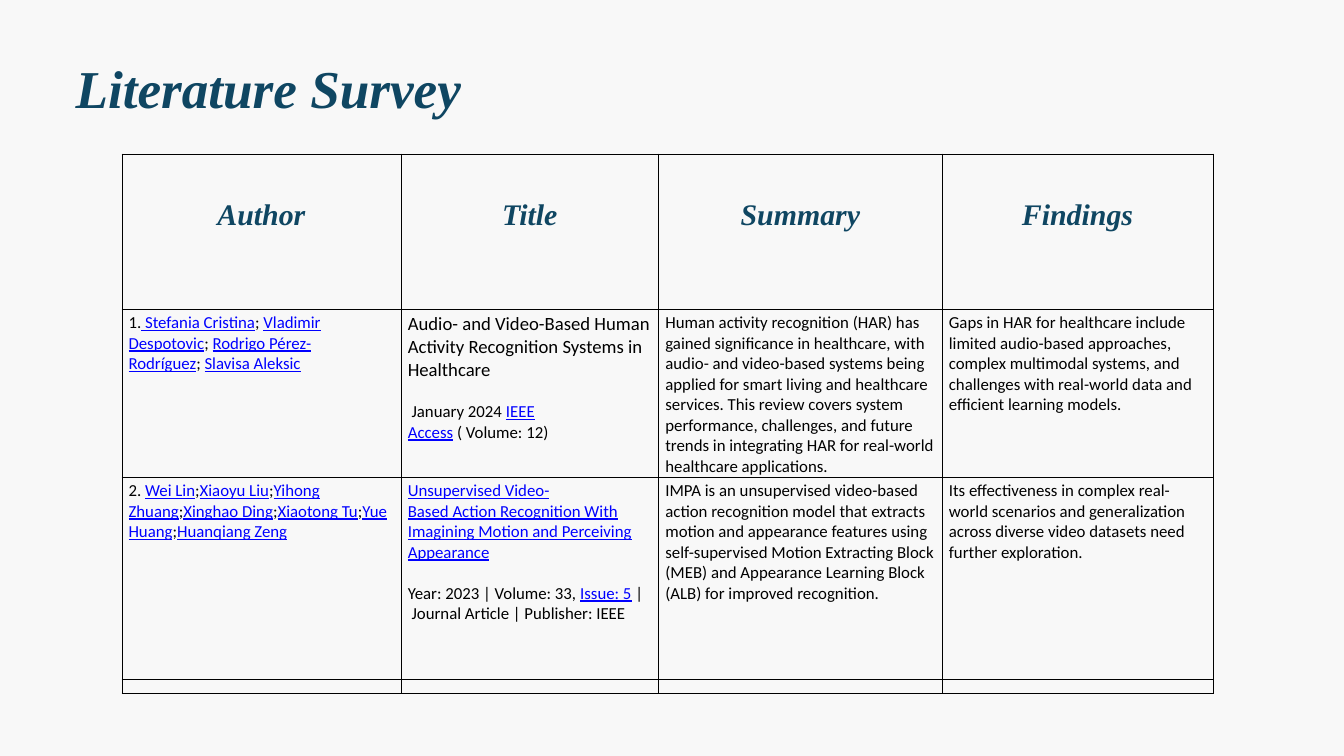
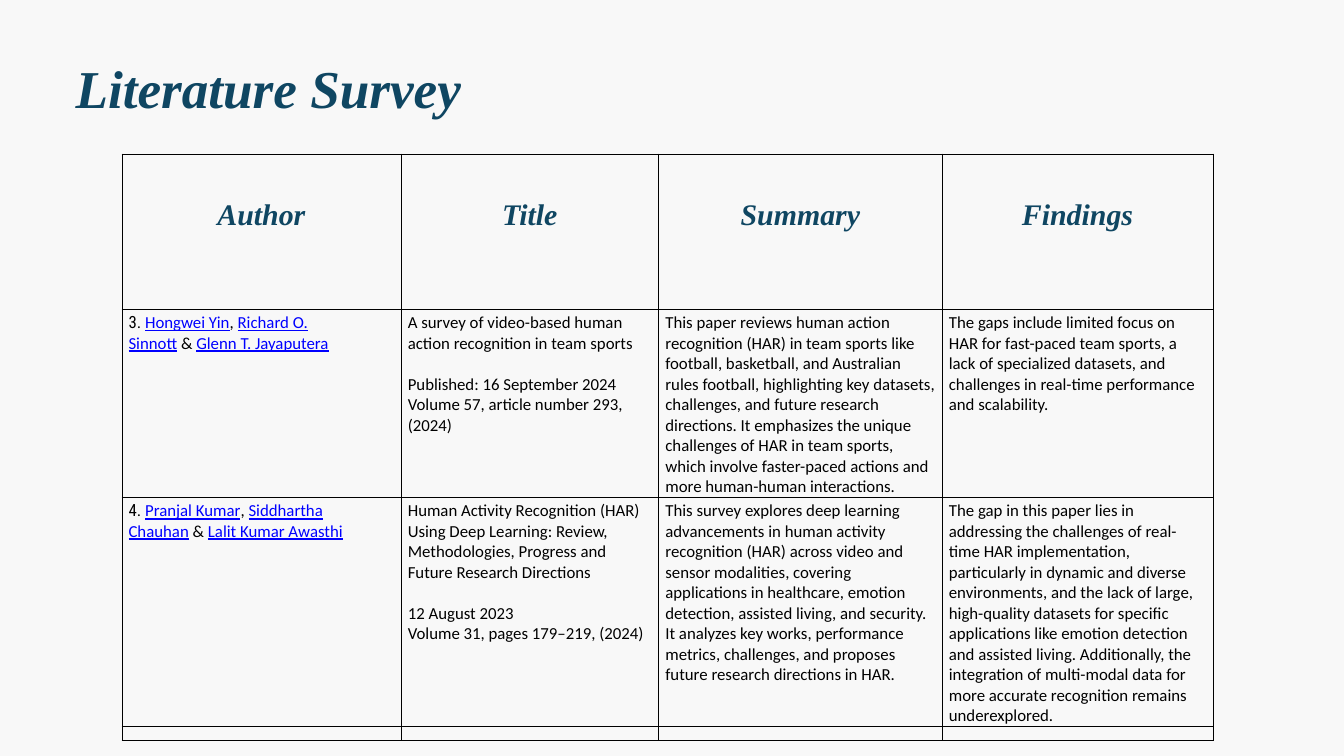
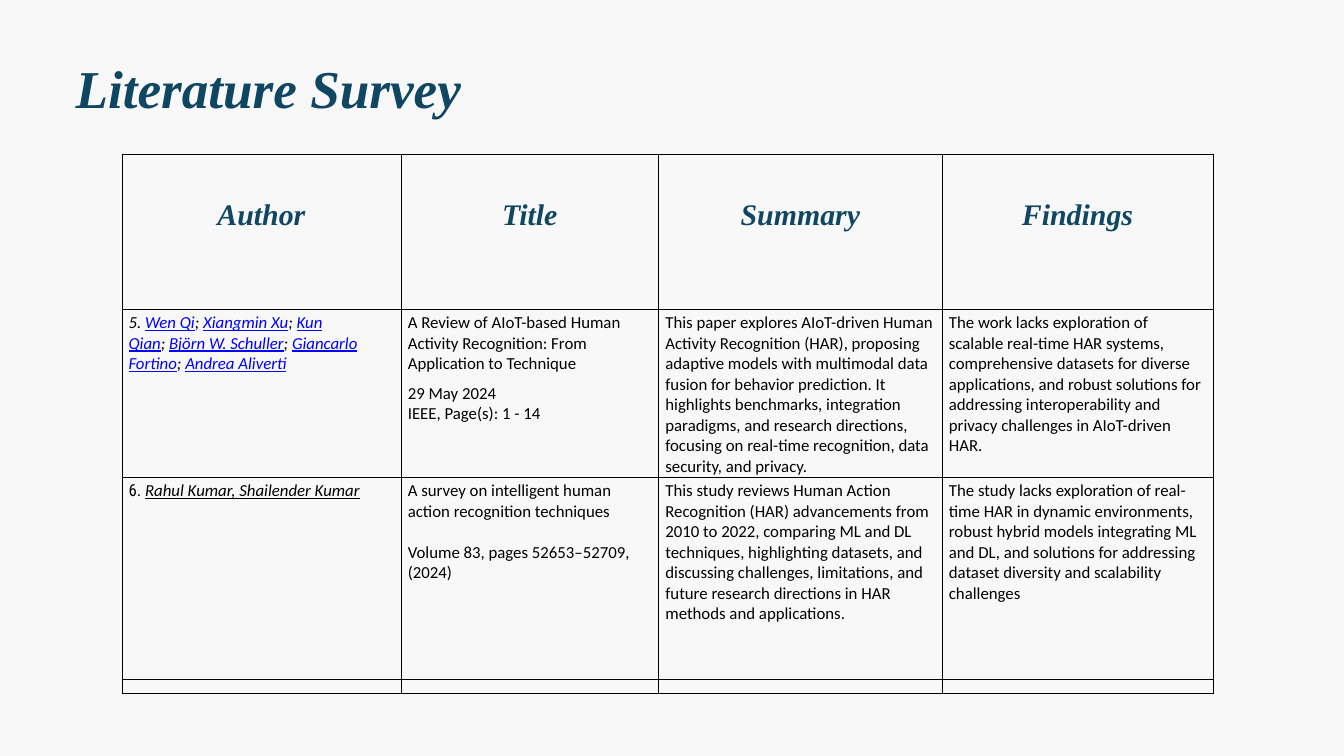
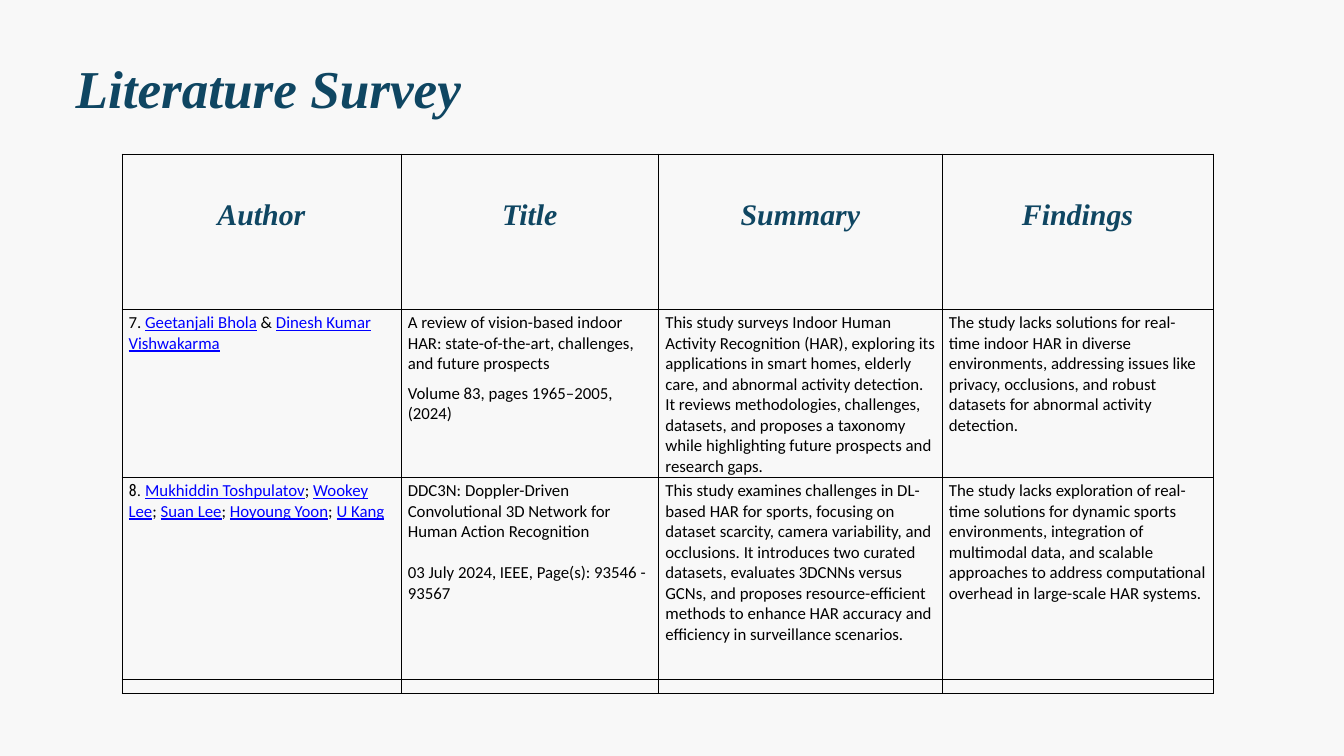
import dataclasses

import lxml.etree
import pptx
import pptx.dml.color
import pptx.enum.text
import pptx.oxml.ns
import pptx.util


# Theme: colours, fonts and type sizes
@dataclasses.dataclass(frozen=True)
class Theme:
    paper: str = "F8F8F8"
    navy: str = "0F4662"
    black: str = "000000"
    link: str = "0000FF"
    serif: str = "Times New Roman"
    sans: str = "Calibri"
    narrow: str = "Roboto Condensed"
    title: int = 57
    head: int = 32
    body: int = 18
    large: int = 20
    tiny: int = 7
    lead: float = 79.8
    rule: float = 0.75


THEME = Theme()
HEADS = ("Author", "Title", "Summary", "Findings")
COLS = (399, 368, 405, 387)
ROWS = (222, 240, 288, 21)
WIDE, NARROW = 22, 9.8  # points between a paper's name and its issue
HARD = chr(160)  # space that does not break, typed as ~ below


# One surveyed paper; square brackets mark linked words
@dataclasses.dataclass
class Paper:
    num: str
    who: str
    name: str
    issue: tuple
    summary: str
    gaps: str
    face: str = THEME.sans
    slant: bool = False
    tint: str = THEME.link
    size: int = THEME.body
    space: float = WIDE


PAGES = (
    (
        Paper(
            "1.",
            "[ Stefania Cristina];~[Vladimir Despotovic];~[Rodrigo Pérez-Rodríguez];~[Slavisa Aleksic]",
            "Audio- and Video-Based Human Activity Recognition Systems in Healthcare",
            ("~January 2024 [IEEE Access]~(~Volume: 12)",),
            "Human activity recognition (HAR) has gained significance in healthcare, with "
            "audio- and video-based systems being applied for smart living and healthcare "
            "services. This review covers system performance, challenges, and future trends "
            "in integrating HAR for real-world healthcare applications.",
            "Gaps in HAR for healthcare include limited audio-based approaches, complex "
            "multimodal systems, and challenges with real-world data and efficient learning models.",
            size=THEME.large,
        ),
        Paper(
            "2. ",
            "[Wei Lin];[Xiaoyu Liu];[Yihong Zhuang];[Xinghao Ding];[Xiaotong Tu];[Yue Huang];[Huanqiang Zeng]",
            "[Unsupervised~Video-Based~Action~Recognition~With Imagining Motion and Perceiving Appearance]",
            ("Year: 2023~|~Volume: 33,~[Issue:~5]~|~Journal Article~|~Publisher:~IEEE",),
            "IMPA is an unsupervised video-based action recognition model that extracts motion "
            "and appearance features using self-supervised Motion Extracting Block (MEB) and "
            "Appearance Learning Block (ALB) for improved recognition.",
            "Its effectiveness in complex real-world scenarios and generalization across "
            "diverse video datasets need further exploration.",
        ),
    ),
    (
        Paper(
            "3. ",
            "[Hongwei Yin],~[Richard O. Sinnott]~&~[Glenn T. Jayaputera]",
            "A survey of video-based human action recognition in team sports",
            ("Published:~16 September 2024", "Volume~57, article~number~293, (2024)"),
            "This paper reviews human action recognition (HAR) in team sports like football, "
            "basketball, and Australian rules football, highlighting key datasets, challenges, "
            "and future research directions. It emphasizes the unique challenges of HAR in team "
            "sports, which involve faster-paced actions and more human-human interactions.",
            "The gaps include limited focus on HAR for fast-paced team sports, a lack of "
            "specialized datasets, and challenges in real-time performance and scalability.",
            face=THEME.narrow,
        ),
        Paper(
            "4. ",
            "[Pranjal Kumar],~[Siddhartha Chauhan]~&~[Lalit Kumar Awasthi]",
            "Human Activity Recognition (HAR) Using Deep Learning: Review, Methodologies, "
            "Progress and Future Research Directions",
            ("12 August 2023", "Volume~31,~pages 179–219, (2024)"),
            "This survey explores deep learning advancements in human activity recognition (HAR) "
            "across video and sensor modalities, covering applications in healthcare, emotion "
            "detection, assisted living, and security. It analyzes key works, performance "
            "metrics, challenges, and proposes future research directions in HAR.",
            "The gap in this paper lies in addressing the challenges of real-time HAR "
            "implementation, particularly in dynamic and diverse environments, and the lack of "
            "large, high-quality datasets for specific applications like emotion detection and "
            "assisted living. Additionally, the integration of multi-modal data for more "
            "accurate recognition remains underexplored.",
            face=THEME.narrow,
        ),
    ),
    (
        Paper(
            "5. ",
            "[Wen Qi];~[Xiangmin Xu];~[Kun Qian];~[Björn W. Schuller];~[Giancarlo Fortino];~[Andrea Aliverti]",
            "A Review of AIoT-based Human Activity Recognition: From Application to Technique",
            ("29 May 2024", "IEEE, Page(s):~1~- 14"),
            "This paper explores AIoT-driven Human Activity Recognition (HAR), proposing adaptive "
            "models with multimodal data fusion for behavior prediction. It highlights benchmarks, "
            "integration paradigms, and research directions, focusing on real-time recognition, "
            "data security, and privacy.",
            "The work lacks exploration of scalable real-time HAR systems, comprehensive datasets "
            "for diverse applications, and robust solutions for addressing interoperability and "
            "privacy challenges in AIoT-driven HAR.",
            slant=True,
            space=NARROW,
        ),
        Paper(
            "6. ",
            "[Rahul Kumar,~Shailender Kumar]",
            "A survey on intelligent human action recognition techniques",
            ("Volume~83,~pages 52653–52709, (2024)",),
            "This study reviews Human Action Recognition (HAR) advancements from 2010 to 2022, "
            "comparing ML and DL techniques, highlighting datasets, and discussing challenges, "
            "limitations, and future research directions in HAR methods and applications.",
            "The study lacks exploration of real-time HAR in dynamic environments, robust hybrid "
            "models integrating ML and DL, and solutions for addressing dataset diversity and "
            "scalability challenges",
            face=THEME.narrow,
            slant=True,
            tint=THEME.black,
        ),
    ),
    (
        Paper(
            "7. ",
            "[Geetanjali Bhola]~&~[Dinesh Kumar Vishwakarma]",
            "A review of vision-based indoor HAR: state-of-the-art, challenges, and future prospects",
            ("Volume~83,~pages 1965–2005, (2024)",),
            "This study surveys Indoor Human Activity Recognition (HAR), exploring its applications "
            "in smart homes, elderly care, and abnormal activity detection. It reviews "
            "methodologies, challenges, datasets, and proposes a taxonomy while highlighting "
            "future prospects and research gaps.",
            "The study lacks solutions for real-time indoor HAR in diverse environments, addressing "
            "issues like privacy, occlusions, and robust datasets for abnormal activity detection.",
            space=NARROW,
        ),
        Paper(
            "8. ",
            "[Mukhiddin Toshpulatov];~[Wookey Lee];~[Suan Lee];~[Hoyoung Yoon];~[U Kang]",
            "DDC3N: Doppler-Driven Convolutional 3D Network for Human Action Recognition",
            ("03 July 2024, IEEE, Page(s):~93546~- 93567",),
            "This study examines challenges in DL-based HAR for sports, focusing on dataset "
            "scarcity, camera variability, and occlusions. It introduces two curated datasets, "
            "evaluates 3DCNNs versus GCNs, and proposes resource-efficient methods to enhance HAR "
            "accuracy and efficiency in surveillance scenarios.",
            "The study lacks exploration of real-time solutions for dynamic sports environments, "
            "integration of multimodal data, and scalable approaches to address computational "
            "overhead in large-scale HAR systems.",
            face=THEME.narrow,
        ),
    ),
)


# Helpers
def px(count):
    return pptx.util.Emu(count * 9525)


def rgb(code):
    return pptx.dml.color.RGBColor.from_string(code)


def style(run, size=THEME.body, face=THEME.sans, tint=THEME.black, bold=False, slant=False, under=False):
    font = run.font
    font.size, font.name = pptx.util.Pt(size), face
    font.color.rgb = rgb(tint)
    font.bold, font.italic, font.underline = bold, slant, under


def write_head(para, text, size):
    para.text = text
    para.line_spacing = pptx.util.Pt(THEME.lead)
    style(para.runs[0], size, THEME.serif, THEME.navy, bold=True, slant=True)


def write_marked(para, text, tint=THEME.link, **look):
    """Add text as runs, with the bracketed words underlined in the tint."""
    for i, part in enumerate(text.replace("~", HARD).replace("]", "[").split("[")):
        if part:
            run = para.add_run()
            run.text = part
            linked = i % 2 == 1
            style(run, tint=tint if linked else THEME.black, under=linked, **look)


# Table cells
def add_rules(cell):
    props = cell._tc.get_or_add_tcPr()
    for i, side in enumerate(("lnL", "lnR", "lnT", "lnB")):
        line = lxml.etree.Element(pptx.oxml.ns.qn("a:" + side), w=str(pptx.util.Pt(THEME.rule)))
        fill = lxml.etree.SubElement(line, pptx.oxml.ns.qn("a:solidFill"))
        lxml.etree.SubElement(fill, pptx.oxml.ns.qn("a:srgbClr"), val=THEME.black)
        props.insert(i, line)


def fill_row(cells, paper):
    who, name, summary, gaps = (cell.text_frame for cell in cells)
    para = who.paragraphs[0]
    write_marked(para, paper.num, face=paper.face, slant=paper.slant and paper.face == THEME.sans)
    write_marked(para, paper.who, paper.tint, slant=paper.slant)
    write_marked(name.paragraphs[0], paper.name, size=paper.size)
    for i, line in enumerate(paper.issue):
        para = name.add_paragraph()
        if i == 0:
            para.space_before = pptx.util.Pt(paper.space)
        write_marked(para, line)
    write_marked(summary.paragraphs[0], paper.summary)
    write_marked(gaps.paragraphs[0], paper.gaps)


def add_survey(slide, papers):
    frame = slide.shapes.add_table(len(ROWS), len(COLS), px(174), px(220), px(sum(COLS)), px(sum(ROWS)))
    table = frame.table
    table.first_row = table.horz_banding = False
    for col, width in zip(table.columns, COLS):
        col.width = px(width)
    for row, height in zip(table.rows, ROWS):
        row.height = px(height)
    for cell in table.iter_cells():
        cell.fill.background()
        add_rules(cell)
    top, *body, last = (list(row.cells) for row in table.rows)
    for cell, text in zip(top, HEADS):
        para = cell.text_frame.paragraphs[0]
        para.alignment = pptx.enum.text.PP_ALIGN.CENTER
        write_head(para, text, THEME.head)
    for cells, paper in zip(body, papers):
        fill_row(cells, paper)
    # Small type keeps the closing row thin
    for cell in last:
        para = cell.text_frame.paragraphs[0]
        lxml.etree.SubElement(para._p, pptx.oxml.ns.qn("a:endParaRPr"), sz=str(THEME.tiny * 100))


# Slide title
def add_title(slide, text):
    title = slide.shapes.title
    title.left, title.top, title.width, title.height = px(108), px(64), px(845), px(102)
    frame = title.text_frame
    frame.margin_left = frame.margin_top = frame.margin_right = frame.margin_bottom = 0
    frame.word_wrap = True
    frame.auto_size = pptx.enum.text.MSO_AUTO_SIZE.SHAPE_TO_FIT_TEXT
    frame.vertical_anchor = pptx.enum.text.MSO_ANCHOR.TOP
    para = frame.paragraphs[0]
    para.alignment = pptx.enum.text.PP_ALIGN.LEFT
    write_head(para, text, THEME.title)


def main():
    deck = pptx.Presentation()
    deck.slide_width, deck.slide_height = px(1920), px(1080)
    back = deck.slide_master.background.fill
    back.solid()
    back.fore_color.rgb = rgb(THEME.paper)
    for papers in PAGES:
        slide = deck.slides.add_slide(deck.slide_layouts[5])
        add_title(slide, "Literature Survey")
        add_survey(slide, papers)
    deck.save("out.pptx")


if __name__ == "__main__":
    main()
